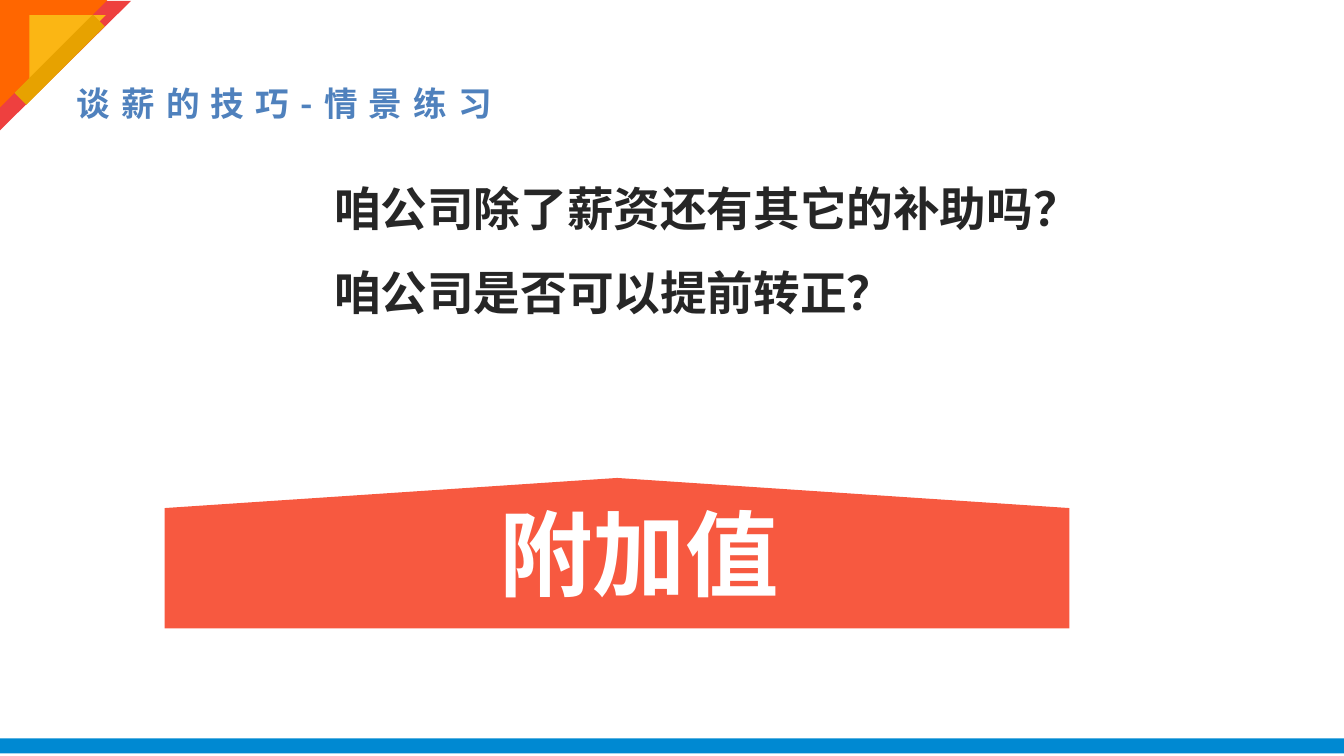
from pptx import Presentation
from pptx.dml.color import RGBColor
from pptx.enum.shapes import MSO_SHAPE as SHAPE
from pptx.enum.text import MSO_ANCHOR as ANCHOR, MSO_AUTO_SIZE as AUTO_SIZE, PP_ALIGN as ALIGN
from pptx.oxml.ns import qn
from pptx.util import Pt

PX = 5715  # 160 px to the inch
FONT = "Noto Sans CJK SC"
BLUE, BAR_BLUE, CORAL = "4F81BD", "0089D2", "F75940"
RED, ORANGE, YELLOW, OCHRE = "EE403F", "FF6600", "FBB614", "E7A200"
WHITE, INK = "FFFFFF", "262626"


def emu(*lengths):
    return [n * PX for n in lengths]


def rgb(color):
    return RGBColor.from_string(color)


def add_shape(slide, kind, box, color, rotation=0):
    s = slide.shapes.add_shape(kind, *emu(*box))
    s.rotation = rotation
    s.shadow.inherit = False
    s.fill.solid()
    s.fill.fore_color.rgb = rgb(color)
    s.line.fill.background()
    return s


def write(s, lines, size, color, align=ALIGN.LEFT, line_spacing=1.0, tracking=0):
    """Fill a text shape with bold paragraphs; tracking is in points."""
    tf = s.text_frame
    tf.word_wrap = True
    tf.auto_size = AUTO_SIZE.NONE
    tf.vertical_anchor = ANCHOR.TOP
    tf.text = "\n".join(lines)
    for p in tf.paragraphs:
        p.alignment = align
        p.line_spacing = line_spacing
        p.font.name, p.font.size, p.font.bold = FONT, Pt(size), True
        p.font.color.rgb = rgb(color)
        props = p._p.pPr.find(qn("a:defRPr"))
        props.set("spc", str(tracking * 100))
        east_asian = props.makeelement(qn("a:ea"), {"typeface": FONT})
        props.find(qn("a:latin")).addnext(east_asian)


def add_corner(slide, x, y):
    for dx, dy, w, h, color in (
        (0, 0, 155, 157, RED),
        (0, 0, 128, 128, ORANGE),
        (35, 18, 91, 91, YELLOW),
    ):
        add_shape(slide, SHAPE.RIGHT_TRIANGLE, (x + dx, y + dy, w, h), color, 90)
    add_shape(slide, SHAPE.RECTANGLE, (x + 61, y + 5, 20, 132), OCHRE, 45)


def add_title(slide, box, text):
    title = slide.shapes.title
    title.left, title.top, title.width, title.height = emu(*box)
    write(title, [text], 18, BLUE, tracking=6)


def add_questions(slide, box, questions):
    write(slide.shapes.add_textbox(*emu(*box)), questions, 25, INK, line_spacing=1.5)


def add_banner(slide, box, text):
    x, y, w, h = box
    add_shape(slide, SHAPE.FLOWCHART_OFFPAGE_CONNECTOR, box, CORAL, 180)
    label = slide.shapes.add_textbox(*emu(x + 104, y + 14, w - 155, h - 29))
    write(label, [text], 50, WHITE, ALIGN.CENTER)


def main():
    prs = Presentation()
    prs.slide_width, prs.slide_height = emu(1600, 900)
    slide = prs.slides.add_slide(prs.slide_layouts[5])
    add_shape(slide, SHAPE.RECTANGLE, (0, 879, 1600, 18), BAR_BLUE)
    add_corner(slide, 0, 0)
    add_title(slide, (75, 91, 542, 64), "谈薪的技巧-情景练习")
    add_questions(slide, (382, 173, 922, 218),
                  ["咱公司除了薪资还有其它的补助吗？", "咱公司是否可以提前转正？"])
    add_banner(slide, (196, 569, 1077, 179), "附加值")
    prs.save("out.pptx")


if __name__ == "__main__":
    main()
